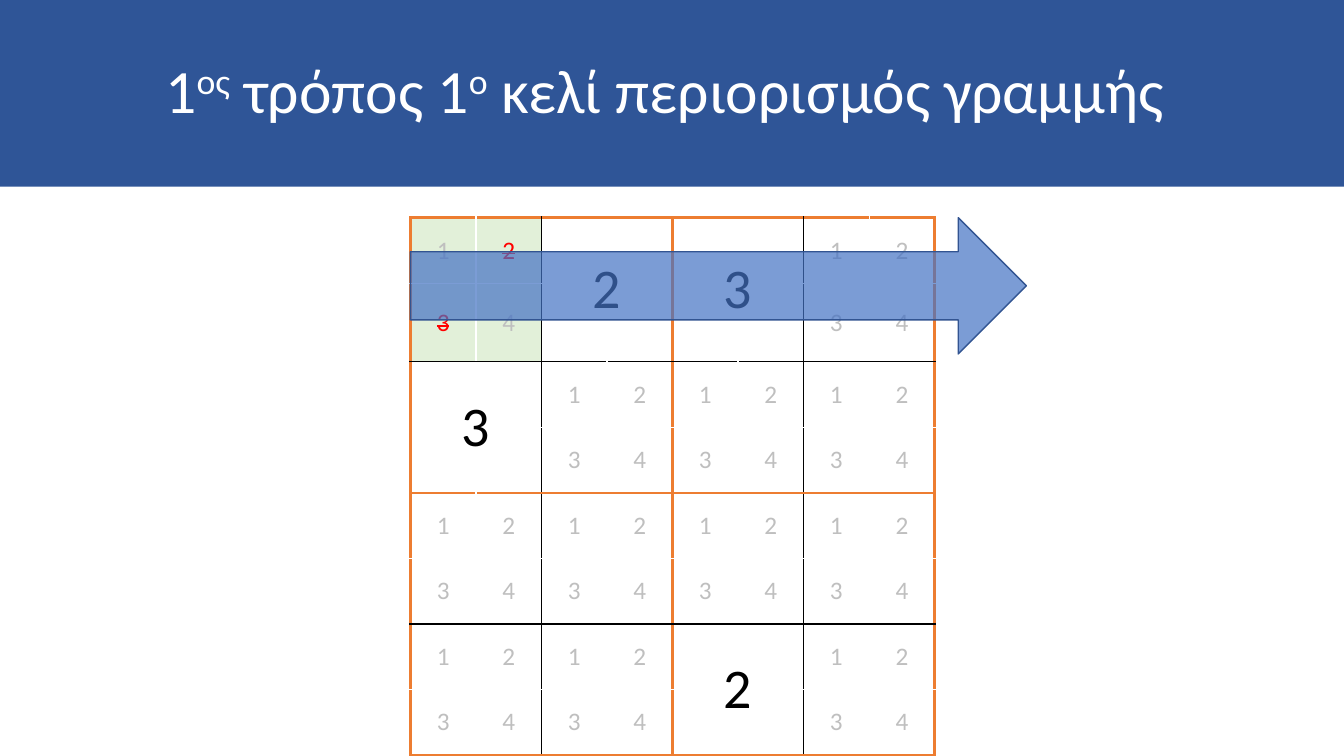
import dataclasses

import lxml.etree
import pptx
import pptx.dml.color
import pptx.enum.dml
import pptx.enum.shapes
import pptx.enum.text
import pptx.oxml.ns
import pptx.util

Inches = pptx.util.Inches
Pt = pptx.util.Pt
RGB = pptx.dml.color.RGBColor
Shape = pptx.enum.shapes.MSO_SHAPE
qn = pptx.oxml.ns.qn

WIDE, HIGH = 13.33, 7.5
BAND = 0.247  # share of the slide's height
LEFT, TOP = 4.07, 2.16
UNIT = 0.65  # side of one grid square
SIDE = 8  # squares along the grid
GROWN = 1.2  # second row, in squares
FONT = "Calibri"

NAVY = RGB(0x2F, 0x55, 0x97)
BLUE = RGB(0x44, 0x72, 0xC4)
EDGE = RGB(0x32, 0x54, 0x91)
WHITE = RGB(0xFF, 0xFF, 0xFF)
BLACK = RGB(0, 0, 0)
GRAY = RGB(0xBF, 0xBF, 0xBF)
RED = RGB(0xFF, 0, 0)
GREEN = RGB(0xE2, 0xF0, 0xD9)
ORANGE = RGB(0xED, 0x7D, 0x31)


@dataclasses.dataclass(frozen=True)
class Piece:
    text: str
    size: float
    color: RGB
    raised: bool = False
    struck: bool = False


@dataclasses.dataclass(frozen=True)
class Given:
    """A solved digit; row and col count the 4 by 4 blocks."""
    row: int
    col: int
    digit: str


TITLE = [
    Piece("1", 44, WHITE),
    Piece("ος", 44, WHITE, raised=True),
    Piece(" τρόπος 1", 44, WHITE),
    Piece("ο", 44, WHITE, raised=True),
    Piece(" κελί περιορισμός γραμμής ", 44, WHITE),
]
GIVENS = [Given(0, 1, "2"), Given(0, 2, "3"), Given(1, 0, "3"), Given(3, 2, "2")]
TARGET = (0, 0)
RULED = {"2", "3"}  # digits struck out in the target block


def write(frame, pieces: list[Piece]):
    para = frame.paragraphs[0]
    para.alignment = pptx.enum.text.PP_ALIGN.CENTER
    for piece in pieces:
        run = para.add_run()
        run.text = piece.text
        font = run.font
        font.name, font.size = FONT, Pt(piece.size)
        font.color.rgb = piece.color
        props = run._r.get_or_add_rPr()
        if piece.raised:
            props.set("baseline", "30000")
        if piece.struck:
            props.set("strike", "sngStrike")
    return para


def rule(line: int) -> tuple[RGB, float]:
    """Colour and weight of the grid line with this number."""
    if line % 4 == 0:
        return ORANGE, 2.25
    return (BLACK if line % 2 == 0 else WHITE), 1


def border(cell, row: int, col: int, span: int) -> None:
    props = cell._tc.get_or_add_tcPr()
    lines = {"lnL": col, "lnR": col + span, "lnT": row, "lnB": row + span}
    for place, (tag, line) in enumerate(lines.items()):
        color, weight = rule(line)
        edge = lxml.etree.Element(qn(f"a:{tag}"), w=str(Pt(weight)))
        fill = lxml.etree.SubElement(edge, qn("a:solidFill"))
        lxml.etree.SubElement(fill, qn("a:srgbClr"), val=str(color))
        props.insert(place, edge)


def banner(slide) -> None:
    band = slide.shapes.add_shape(
        Shape.RECTANGLE, 0, 0, Inches(WIDE), Inches(HIGH * BAND))
    band.shadow.inherit = False
    band.fill.solid()
    band.fill.fore_color.rgb = NAVY
    band.line.fill.background()
    band.text_frame.word_wrap = True
    band.text_frame.vertical_anchor = pptx.enum.text.MSO_ANCHOR.MIDDLE
    write(band.text_frame, TITLE).line_spacing = 0.9


def puzzle(slide) -> None:
    side = Inches(UNIT * SIDE)
    table = slide.shapes.add_table(
        SIDE, SIDE, Inches(LEFT), Inches(TOP), side, side).table
    table.first_row = table.horz_banding = False
    for col in table.columns:
        col.width = Inches(UNIT)
    for row in table.rows:
        row.height = Inches(UNIT)
    table.rows[1].height = Inches(UNIT * GROWN)

    solved = {(given.row, given.col): given.digit for given in GIVENS}
    for row in range(SIDE):
        for col in range(SIDE):
            cell = table.cell(row, col)
            block = (row // 2, col // 2)
            first = row % 2 == 0 and col % 2 == 0
            big = block in solved
            cell.vertical_anchor = pptx.enum.text.MSO_ANCHOR.MIDDLE
            if block == TARGET:
                cell.fill.solid()
                cell.fill.fore_color.rgb = GREEN
            else:
                cell.fill.background()
            border(cell, row, col, 2 if big and first else 1)
            if not big:
                digit = str(row % 2 * 2 + col % 2 + 1)
                out = block == TARGET and digit in RULED
                tint = RED if out else GRAY
                write(cell.text_frame, [Piece(digit, 18, tint, struck=out)])
            elif first:
                cell.merge(table.cell(row + 1, col + 1))
                write(cell.text_frame, [Piece(solved[block], 40, BLACK)])


def arrow(slide) -> None:
    shape = slide.shapes.add_shape(
        Shape.RIGHT_ARROW, Inches(LEFT), Inches(TOP),
        Inches(UNIT * 9.4), Inches(UNIT * 2.08))
    shape.shadow.inherit = False
    shape.fill.solid()
    shape.fill.fore_color.rgb = BLUE
    tint = shape._element.spPr.find(qn("a:solidFill"))[0]
    lxml.etree.SubElement(tint, qn("a:alpha"), val="70000")
    shape.line.color.rgb = EDGE
    shape.line.width = Pt(1)


def main() -> None:
    deck = pptx.Presentation()
    deck.slide_width, deck.slide_height = Inches(WIDE), Inches(HIGH)
    slide = deck.slides.add_slide(deck.slide_layouts[6])
    banner(slide)
    puzzle(slide)
    arrow(slide)
    deck.save("out.pptx")


if __name__ == "__main__":
    main()
